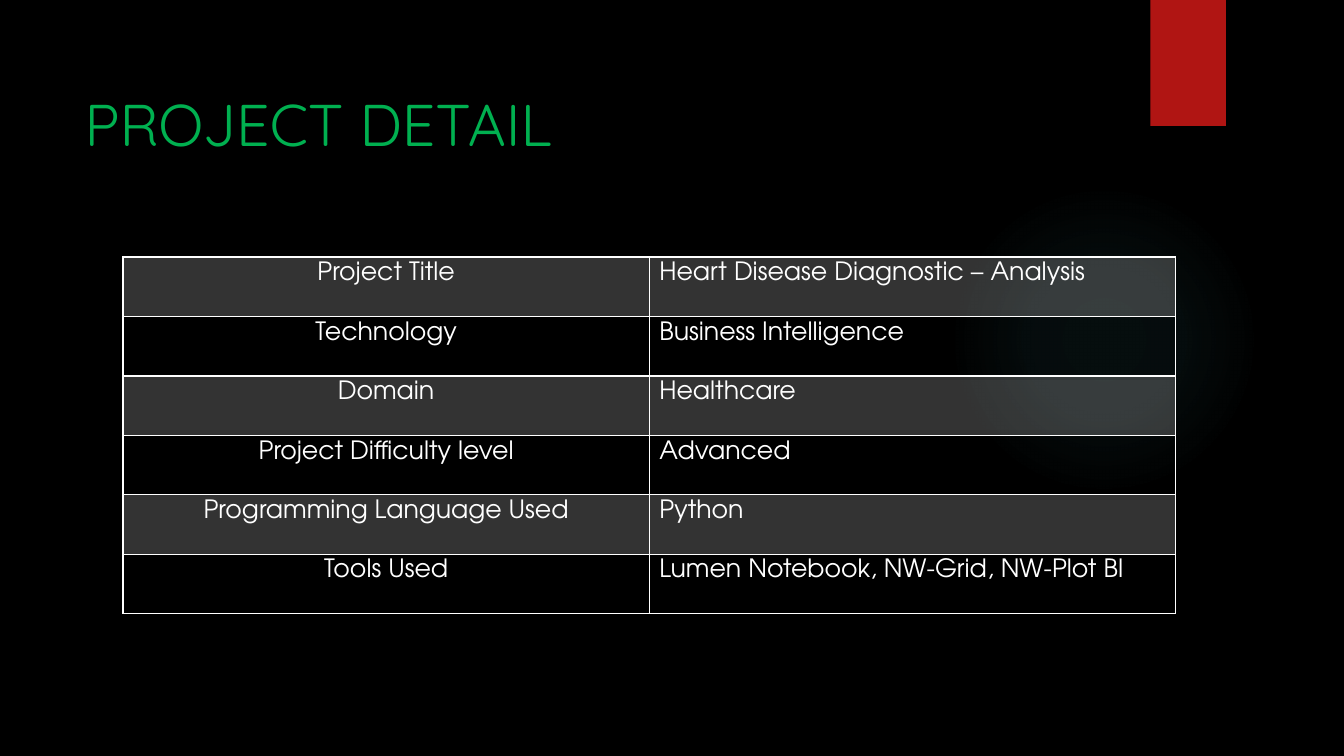
import pptx
import pptx.util
import pptx.dml.color
import pptx.enum.shapes
import pptx.enum.text
import pptx.oxml
import pptx.oxml.ns

Inches = pptx.util.Inches
SHAPE = pptx.enum.shapes.MSO_SHAPE
ALIGN = pptx.enum.text.PP_ALIGN
NS = pptx.oxml.ns.nsdecls("a")


class Theme:
    back = "000000"
    title = "00B050"
    text = "FFFFFF"
    accent = "B01513"
    glow = "50B9C1"
    head_font = "Quicksand"
    body_font = "TeX Gyre Adventor"
    head_size = 42
    body_size = 18
    line = 1
    band = 20  # opacity of the banded rows, percent


ROWS = [
    ("Project Title", "Heart Disease Diagnostic – Analysis"),
    ("Technology", "Business Intelligence"),
    ("Domain", "Healthcare"),
    ("Project Difficulty level", "Advanced"),
    ("Programming Language Used", "Python"),
    ("Tools Used", "Lumen Notebook, NW-Grid, NW-Plot BI"),
]


def color(code):
    return pptx.dml.color.RGBColor.from_string(code)


def write(frame, text, font, size, tint, align=ALIGN.LEFT):
    """Put one formatted line of text into a text frame."""
    line = frame.paragraphs[0]
    line.alignment = align
    run = line.add_run()
    run.text = text
    run.font.name = font
    run.font.size = pptx.util.Pt(size)
    run.font.color.rgb = color(tint)


class Deck:
    def __init__(self, theme):
        self.theme = theme
        self.file = pptx.Presentation()
        self.file.slide_width = Inches(13.33)
        self.file.slide_height = Inches(7.5)
        self.slide = self.file.slides.add_slide(self.file.slide_layouts[6])
        fill = self.slide.background.fill
        fill.solid()
        fill.fore_color.rgb = color(theme.back)

    def shape(self, kind, box, tint):
        item = self.slide.shapes.add_shape(kind, *map(Inches, box))
        item.shadow.inherit = False
        item.line.fill.background()
        item.fill.solid()
        item.fill.fore_color.rgb = color(tint)
        return item

    def glow(self, box, tint, stops):
        """Draw a disc that fades out; stops are (place, opacity) percents."""
        props = self.shape(SHAPE.OVAL, box, tint).fill._xPr
        marks = "".join(
            f'<a:gs pos="{place * 1000}"><a:srgbClr val="{tint}">'
            f'<a:alpha val="{alpha * 1000}"/></a:srgbClr></a:gs>'
            for place, alpha in stops)
        fade = pptx.oxml.parse_xml(
            f'<a:gradFill {NS} rotWithShape="1"><a:gsLst>{marks}</a:gsLst>'
            '<a:path path="circle"><a:fillToRect l="50000" t="50000" '
            'r="50000" b="50000"/></a:path></a:gradFill>')
        props.replace(props.find(pptx.oxml.ns.qn("a:solidFill")), fade)

    def title(self, text, box):
        frame = self.slide.shapes.add_textbox(*map(Inches, box)).text_frame
        frame.word_wrap = True
        write(frame, text, font=self.theme.head_font,
              size=self.theme.head_size, tint=self.theme.title)

    def cell(self, cell, text, align, band):
        theme = self.theme
        cell.margin_left = cell.margin_right = Inches(0.1)
        cell.margin_top = cell.margin_bottom = Inches(0.05)
        write(cell.text_frame, text, font=theme.body_font,
              size=theme.body_size, tint=theme.text, align=align)
        # Borders come before the fill
        props = cell._tc.get_or_add_tcPr()
        for side in "LRTB":
            props.append(pptx.oxml.parse_xml(
                f'<a:ln{side} {NS} w="{pptx.util.Pt(theme.line)}"><a:solidFill>'
                f'<a:srgbClr val="{theme.text}"/></a:solidFill></a:ln{side}>'))
        if not band:
            cell.fill.background()
            return
        cell.fill.solid()
        cell.fill.fore_color.rgb = color(theme.text)
        tone = props.find(pptx.oxml.ns.qn("a:solidFill"))[0]
        tone.append(pptx.oxml.parse_xml(
            f'<a:alpha {NS} val="{theme.band * 1000}"/>'))

    def table(self, rows, left, top, width, step):
        grid = self.slide.shapes.add_table(
            len(rows), len(rows[0]), Inches(left), Inches(top),
            Inches(width), Inches(step * len(rows))).table
        grid.first_row = grid.horz_banding = False
        for r, row in enumerate(rows):
            for c, text in enumerate(row):
                align = ALIGN.LEFT if c else ALIGN.CENTER
                self.cell(grid.cell(r, c), text, align, band=r % 2 == 0)


def main():
    theme = Theme()
    deck = Deck(theme)
    # Backdrop
    deck.glow((9.41, 1.83, 3.08, 3.08), theme.glow,
              [(0, 7), (36, 6), (69, 0), (100, 0)])
    deck.shape(SHAPE.RECTANGLE, (11.41, 0, 0.75, 1.25), theme.accent)
    # Heading
    deck.title("PROJECT DETAIL", (0.74, 0.82, 12.27, 1.18))
    # Details
    deck.table(ROWS, left=1.22, top=2.55, width=10.44, step=0.59)
    deck.file.save("out.pptx")


if __name__ == "__main__":
    main()
